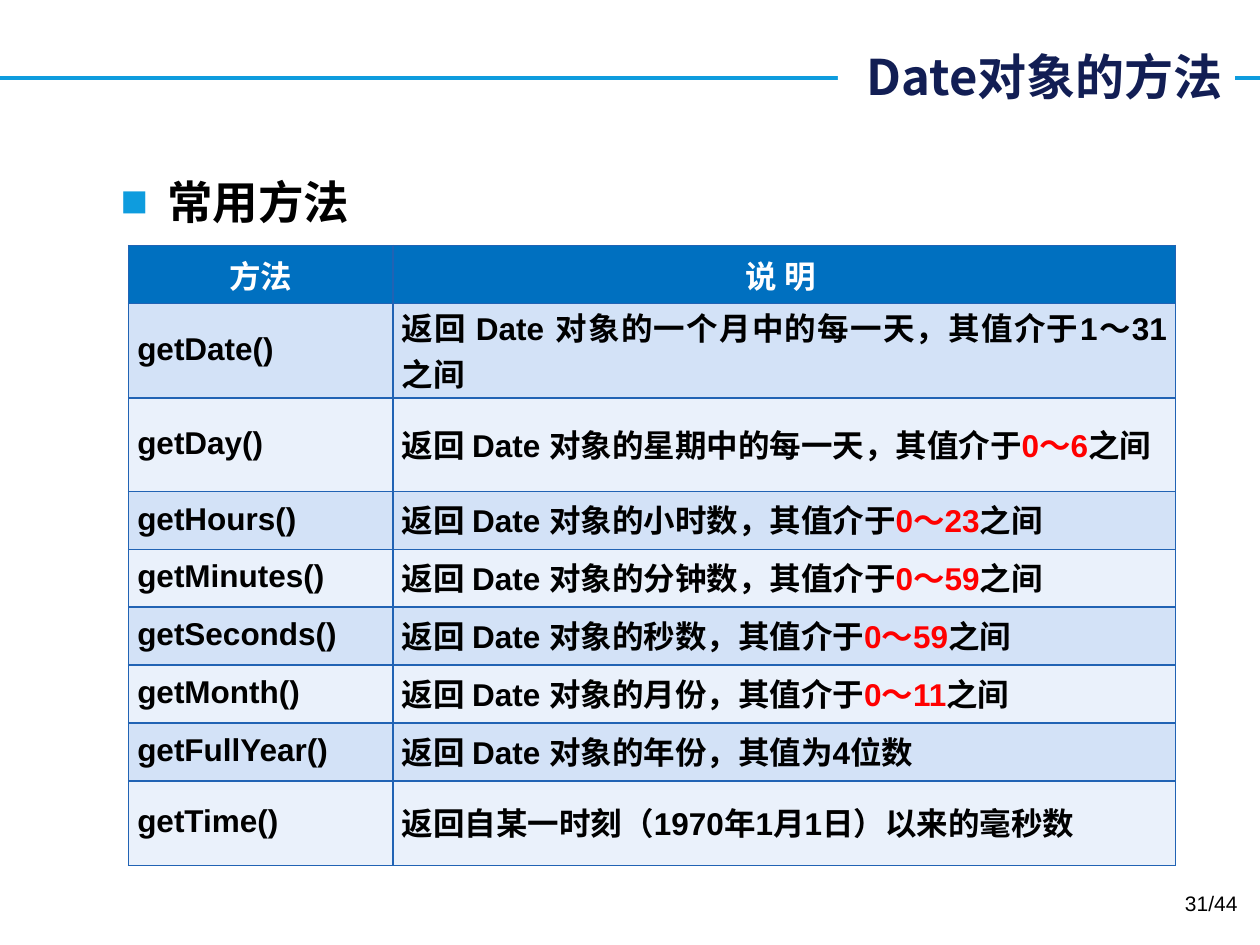
from lxml.etree import SubElement
from pptx import Presentation
from pptx.dml.color import RGBColor
from pptx.enum.shapes import MSO_CONNECTOR, MSO_SHAPE
from pptx.enum.text import MSO_ANCHOR, PP_ALIGN
from pptx.oxml.ns import qn
from pptx.util import Inches, Pt

COLORS = {
    "accent": "0E9CDE", "title": "121E54", "white": "FFFFFF", "black": "000000",
    "red": "FF0000", "header": "0070C0", "border": "2163B4",
    "odd_row": "D3E2F7", "even_row": "EAF1FB",
}
LATIN = "Arial"
CHINESE = "Noto Sans CJK SC"

HEADERS = ["方法", "说 明 "]
METHODS = [
    ("getDate()", "返回 Date 对象的一个月中的每一天，其值介于1～31之间", ""),
    ("getDay()", "返回 Date 对象的星期中的每一天，其值介于", "0～6"),
    ("getHours()", "返回 Date 对象的小时数，其值介于", "0～23"),
    ("getMinutes()", "返回 Date 对象的分钟数，其值介于", "0～59"),
    ("getSeconds()", "返回 Date 对象的秒数，其值介于", "0～59"),
    ("getMonth()", "返回 Date 对象的月份，其值介于", "0～11"),
    ("getFullYear()", "返回 Date 对象的年份，其值为4位数", ""),
    ("getTime()", "返回自某一时刻（1970年1月1日）以来的毫秒数", ""),
]
COLUMN_WIDTHS = [2.1, 6.21]
ROW_HEIGHTS = [0.46, 0.75, 0.74] + [0.46] * 5 + [0.67]


def rgb(name):
    return RGBColor.from_string(COLORS[name])


def add_span(para, text, size, color="black", bold=True, font=LATIN):
    span = para.add_run()
    span.text = text
    span.font.size = Pt(size)
    span.font.bold = bold
    span.font.name = font
    span.font.color.rgb = rgb(color)
    SubElement(span.font._element, qn("a:ea"), typeface=CHINESE)


def add_rule(page):
    rule = page.shapes.add_connector(
        MSO_CONNECTOR.STRAIGHT, Inches(0), Inches(0.62), Inches(10), Inches(0.62))
    rule.line.color.rgb = rgb("accent")
    rule.line.width = Pt(2.25)
    SubElement(rule._element.spPr, qn("a:effectLst"))


def add_title(page, text):
    box = page.shapes.add_shape(
        MSO_SHAPE.RECTANGLE, Inches(6.65), Inches(0.32), Inches(3.15), Inches(0.57))
    box.shadow.inherit = False
    box.fill.solid()
    box.fill.fore_color.rgb = rgb("white")
    box.line.fill.background()
    frame = box.text_frame
    frame.word_wrap = False
    frame.vertical_anchor = MSO_ANCHOR.MIDDLE
    para = frame.paragraphs[0]
    para.alignment = PP_ALIGN.RIGHT
    add_span(para, text, 28, "title", font=CHINESE)


def add_text(page, left, top, width, height):
    box = page.shapes.add_textbox(Inches(left), Inches(top), Inches(width), Inches(height))
    box.text_frame.word_wrap = True
    return box.text_frame.paragraphs[0]


def add_bullet(para):
    properties = para._p.get_or_add_pPr()
    properties.set("marL", str(Inches(0.37)))
    properties.set("indent", str(Inches(-0.37)))
    color = SubElement(properties, qn("a:buClr"))
    SubElement(color, qn("a:srgbClr"), val=COLORS["accent"])
    SubElement(properties, qn("a:buFont"), typeface=LATIN)
    SubElement(properties, qn("a:buChar"), char="■")


def style_cell(cell, fill, margins):
    cell.margin_left = cell.margin_right = Inches(margins[0])
    cell.margin_top, cell.margin_bottom = Inches(margins[1]), Inches(margins[2])
    properties = cell._tc.get_or_add_tcPr()
    for side in ("lnL", "lnR", "lnT", "lnB"):
        border = SubElement(properties, qn(f"a:{side}"), w=str(Pt(1)))
        solid = SubElement(border, qn("a:solidFill"))
        SubElement(solid, qn("a:srgbClr"), val=COLORS["border"])
    cell.fill.solid()
    cell.fill.fore_color.rgb = rgb(fill)


def fill_header(cell, text):
    style_cell(cell, "header", (0.1, 0.05, 0.05))
    para = cell.text_frame.paragraphs[0]
    para.alignment = PP_ALIGN.CENTER
    add_span(para, text, 18, "white")


def fill_body(cell, fill, spans):
    style_cell(cell, fill, (0.07, 0, 0.02))
    cell.vertical_anchor = MSO_ANCHOR.MIDDLE
    para = cell.text_frame.paragraphs[0]
    para.alignment = PP_ALIGN.JUSTIFY
    for text, color in spans:
        add_span(para, text, 18, color)


def add_method_table(page):
    table = page.shapes.add_table(
        len(ROW_HEIGHTS), len(COLUMN_WIDTHS), Inches(1.02), Inches(1.95),
        Inches(sum(COLUMN_WIDTHS)), Inches(sum(ROW_HEIGHTS))).table
    for column, width in zip(table.columns, COLUMN_WIDTHS):
        column.width = Inches(width)
    for row, height in zip(table.rows, ROW_HEIGHTS):
        row.height = Inches(height)
    for index, text in enumerate(HEADERS):
        fill_header(table.cell(0, index), text)
    for index, (method, meaning, limits) in enumerate(METHODS, start=1):
        fill = "odd_row" if index % 2 else "even_row"
        spans = [(meaning, "black")]
        if limits:
            spans += [(limits, "red"), ("之间", "black")]
        fill_body(table.cell(index, 0), fill, [(method, "black")])
        fill_body(table.cell(index, 1), fill, spans)


def main():
    deck = Presentation()
    deck.slide_width, deck.slide_height = Inches(10), Inches(7.5)
    page = deck.slides.add_slide(deck.slide_layouts[6])
    add_rule(page)
    add_title(page, "Date对象的方法")
    heading = add_text(page, 0.86, 1.33, 8.36, 0.6)
    add_bullet(heading)
    add_span(heading, "常用方法", 26)
    add_method_table(page)
    number = add_text(page, 7.59, 7.02, 2.33, 0.4)
    number.alignment = PP_ALIGN.RIGHT
    add_span(number, "31/44", 12, bold=False)
    deck.save("out.pptx")


if __name__ == "__main__":
    main()
